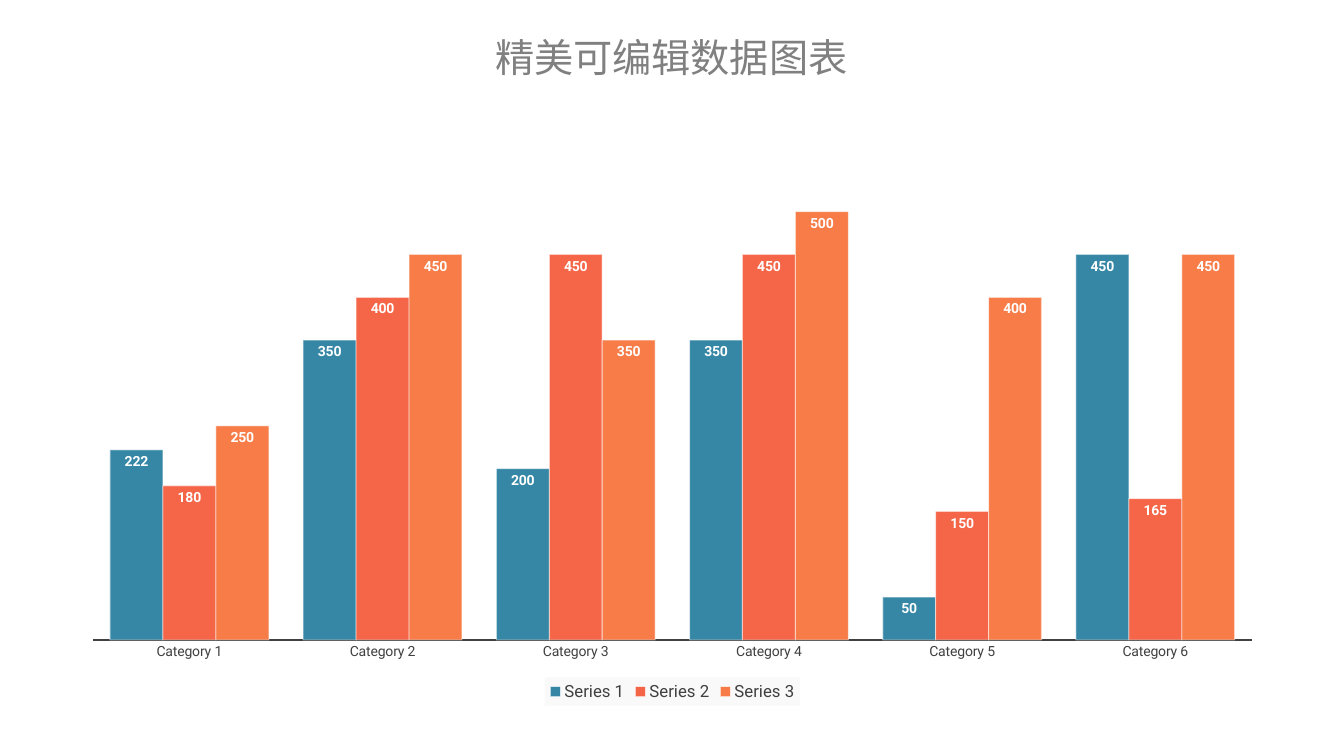
from lxml import etree
from pptx import Presentation
from pptx.chart.data import CategoryChartData
from pptx.dml.color import RGBColor
from pptx.enum.chart import XL_CHART_TYPE as ChartType
from pptx.enum.chart import XL_LABEL_POSITION as LabelPos
from pptx.enum.chart import XL_LEGEND_POSITION as LegendPos
from pptx.enum.chart import XL_TICK_LABEL_POSITION as TickLabelPos
from pptx.enum.chart import XL_TICK_MARK as TickMark
from pptx.enum.text import MSO_ANCHOR, PP_ALIGN
from pptx.oxml import parse_xml
from pptx.oxml.ns import nsdecls, qn
from pptx.util import Cm, Pt

COLORS = {
    "title": "808080",
    "text": "404040",
    "white": "FFFFFF",
    "legend": "F9F9F9",
    "blue": "127296",
    "red": "F44B29",
    "orange": "F66629",
}
TITLE_FONT = "Noto Sans CJK SC"
CHART_FONT = "Roboto"
CATEGORIES = [f"Category {n}" for n in range(1, 7)]
SERIES = [
    ("Series 1", "blue", (222, 350, 200, 350, 50, 450)),
    ("Series 2", "red", (180, 400, 450, 450, 150, 165)),
    ("Series 3", "orange", (250, 450, 350, 500, 400, 450)),
]


def rgb(name):
    return RGBColor.from_string(COLORS[name])


def style_font(font, size, color, bold=False, name=CHART_FONT):
    font.name = name
    font.size = Pt(size)
    font.bold = bold
    font.color.rgb = rgb(color)


def set_solid(fill, color, opacity):
    """Fill with a colour at the given opacity in percent."""
    fill.solid()
    fill.fore_color.rgb = rgb(color)
    clr = fill._xPr.find(qn("a:solidFill"))[0]
    etree.SubElement(clr, qn("a:alpha")).set("val", str(opacity * 1000))


def add_title(slide, text):
    box = slide.shapes.add_textbox(Cm(1.42), Cm(0.81), Cm(30.99), Cm(1.27))
    tf = box.text_frame
    tf.word_wrap = True
    tf.vertical_anchor = MSO_ANCHOR.MIDDLE
    tf.margin_left = tf.margin_right = tf.margin_top = tf.margin_bottom = 0
    p = tf.paragraphs[0]
    p.alignment = PP_ALIGN.CENTER
    r = p.add_run()
    r.text = text
    style_font(r.font, 28, "title", name=TITLE_FONT)
    etree.SubElement(r.font._element, qn("a:ea")).set("typeface", TITLE_FONT)


def set_plot_layout(chart, x, y, w, h):
    """Place the inner plot area, in fractions of the chart."""
    area = chart._chartSpace.chart.plotArea
    for old in area.findall(qn("c:layout")):
        area.remove(old)
    sizes = "".join(f'<c:{tag} val="{val}"/>'
                    for tag, val in zip("xywh", (x, y, w, h)))
    area.insert(0, parse_xml(
        f'<c:layout {nsdecls("c")}><c:manualLayout>'
        '<c:layoutTarget val="inner"/><c:xMode val="edge"/>'
        f'<c:yMode val="edge"/>{sizes}</c:manualLayout></c:layout>'))


def style_axes(chart):
    cat = chart.category_axis
    cat.major_tick_mark = cat.minor_tick_mark = TickMark.NONE
    cat.tick_label_position = TickLabelPos.NEXT_TO_AXIS
    cat.has_major_gridlines = False
    cat.format.line.color.rgb = rgb("text")
    cat.format.line.width = Pt(1.5)
    style_font(cat.tick_labels.font, 10, "text")

    val = chart.value_axis
    val.minimum_scale, val.maximum_scale, val.major_unit = 0, 500, 50
    val.has_major_gridlines = False
    val.visible = False


def style_series(ser, color):
    ser.smooth = False if hasattr(ser, "smooth") else None
    set_solid(ser.format.fill, color, 85)
    line = ser.format.line
    line.width = Pt(0.75)
    set_solid(line.fill, "white", 50)
    labels = ser.data_labels
    labels.show_value = True
    labels.position = LabelPos.INSIDE_END
    style_font(labels.font, 10, "white", bold=True)


def add_legend(chart):
    chart.has_legend = True
    legend = chart.legend
    legend.position = LegendPos.BOTTOM
    legend.include_in_layout = False
    style_font(legend.font, 12, "text")
    legend._element.find(qn("c:overlay")).addnext(parse_xml(
        f'<c:spPr {nsdecls("c", "a")}><a:solidFill>'
        f'<a:srgbClr val="{COLORS["legend"]}"/></a:solidFill></c:spPr>'))


def add_column_chart(slide):
    data = CategoryChartData()
    data.categories = CATEGORIES
    for name, _, values in SERIES:
        data.add_series(name, values)
    chart = slide.shapes.add_chart(
        ChartType.COLUMN_CLUSTERED,
        Cm(1.73), Cm(5.08), Cm(30.43), Cm(12.7), data).chart
    chart.has_title = False
    chart.font.name = CHART_FONT
    chart.font.size = Pt(10)
    plot = chart.plots[0]
    plot.gap_width = 65
    plot.overlap = 0
    plot.vary_by_categories = False
    for ser, (_, color, _) in zip(plot.series, SERIES):
        style_series(ser, color)
    style_axes(chart)
    add_legend(chart)
    set_plot_layout(chart, 0.02, 0.02, 0.96, 0.85)


def main():
    prs = Presentation()
    prs.slide_width, prs.slide_height = Cm(33.87), Cm(19.05)
    slide = prs.slides.add_slide(prs.slide_layouts[6])
    add_column_chart(slide)
    add_title(slide, "精美可编辑数据图表")
    prs.save("out.pptx")


if __name__ == "__main__":
    main()
